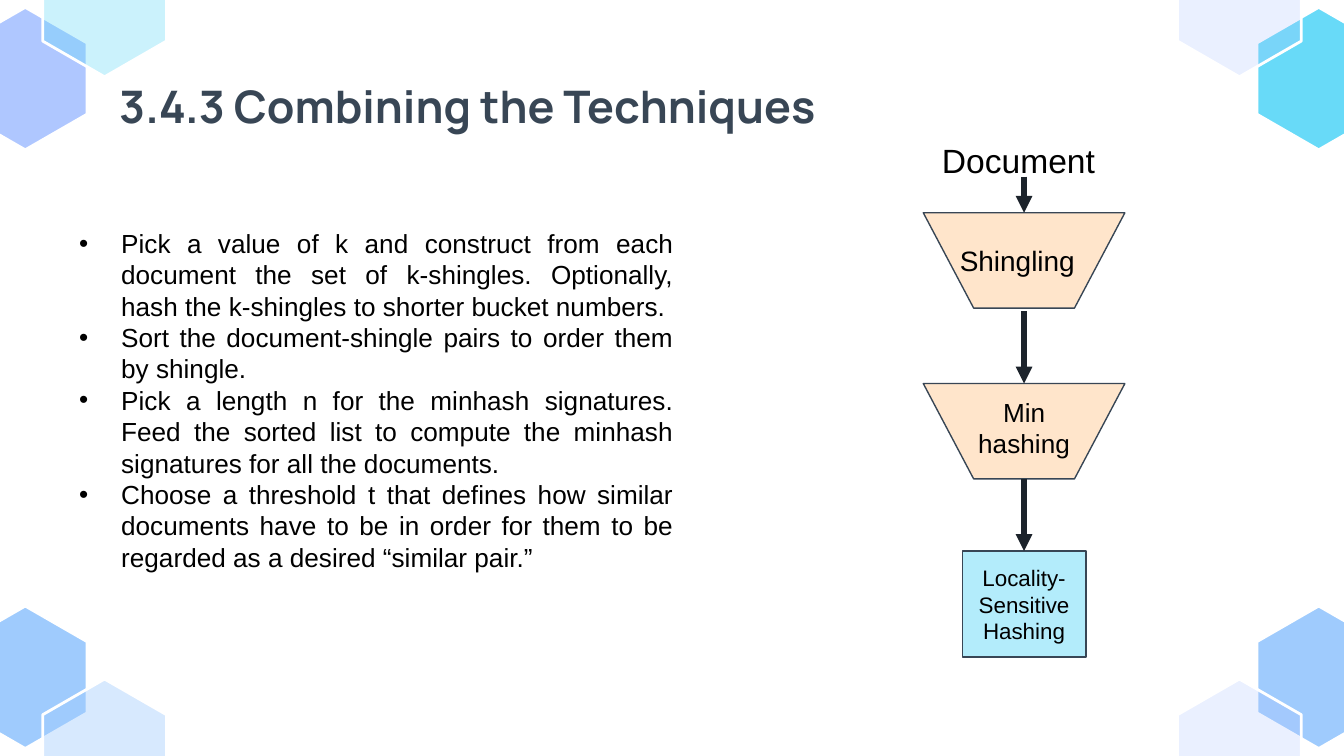
from dataclasses import dataclass

from lxml import etree
from pptx import Presentation
from pptx.dml.color import RGBColor
from pptx.enum.shapes import MSO_CONNECTOR, MSO_SHAPE
from pptx.enum.text import MSO_ANCHOR, MSO_AUTO_SIZE, PP_ALIGN
from pptx.oxml.ns import qn
from pptx.util import Inches, Pt

LEFT, CENTER, JUSTIFY = PP_ALIGN.LEFT, PP_ALIGN.CENTER, PP_ALIGN.JUSTIFY
TOP, MIDDLE = MSO_ANCHOR.TOP, MSO_ANCHOR.MIDDLE
FIXED, GROW = MSO_AUTO_SIZE.NONE, MSO_AUTO_SIZE.SHAPE_TO_FIT_TEXT
RECTANGLE, STRAIGHT = MSO_SHAPE.RECTANGLE, MSO_CONNECTOR.STRAIGHT
TITLE_ONLY = 5

# The grid has square cells, ten to the inch
COLUMNS, ROWS = 100, 56.25
CELLS_PER_INCH = 10


@dataclass(frozen=True)
class Theme:
    heading_font: str = "Manrope"
    body_font: str = "Arial"
    heading: str = "384655"
    text: str = "000000"
    outline: str = "384655"
    arrow: str = "1C232B"
    white: str = "FFFFFF"
    sky: str = "9FCBFD"
    lavender: str = "AFC7FF"
    cyan: str = "68DAF8"
    peach: str = "FFCC99"
    title_size: float = 24
    input_size: float = 18
    step_size: float = 15
    body_size: float = 14
    small_size: float = 12


def cells(count):
    return Inches(count / CELLS_PER_INCH)


def write(frame, text, *, font, size, color, bold=False, align=LEFT, anchor=TOP,
          wrap=True, fit=GROW, inset=None, hang=None):
    """Fill a text frame, one paragraph for each line; hang makes bullets."""
    frame.word_wrap = wrap
    frame.auto_size = fit
    frame.vertical_anchor = anchor
    if inset is not None:
        frame.margin_left = frame.margin_right = cells(inset)
        frame.margin_top = frame.margin_bottom = cells(inset)
    for index, line in enumerate(text.split("\n")):
        para = frame.paragraphs[0] if index == 0 else frame.add_paragraph()
        para.alignment = align
        if hang is not None:
            properties = para._p.get_or_add_pPr()
            properties.set("marL", str(cells(hang)))
            properties.set("indent", str(-cells(hang)))
            etree.SubElement(properties, qn("a:buFont")).set("typeface", font)
            etree.SubElement(properties, qn("a:buChar")).set("char", "•")
        span = para.add_run()
        span.text = line
        span.font.name = font
        span.font.size = Pt(size)
        span.font.bold = bold
        span.font.color.rgb = RGBColor.from_string(color)


class SlideBuilder:
    """Draws the parts of one slide in one theme, measured in grid cells."""

    def __init__(self, slide, theme):
        self.slide = slide
        self.theme = theme

    def paint(self, shape, fill, line, width, opacity=100):
        shape.shadow.inherit = False
        shape.fill.solid()
        shape.fill.fore_color.rgb = RGBColor.from_string(fill)
        if opacity < 100:
            color = shape.fill._xPr.find(".//" + qn("a:srgbClr"))
            etree.SubElement(color, qn("a:alpha")).set("val", str(opacity * 1000))
        shape.line.color.rgb = RGBColor.from_string(line)
        shape.line.width = Pt(width)

    def title(self, text, left, top, width, height):
        box = self.slide.shapes.title
        box.left, box.top = cells(left), cells(top)
        box.width, box.height = cells(width), cells(height)
        write(box.text_frame, text, font=self.theme.heading_font,
              size=self.theme.title_size, color=self.theme.heading,
              bold=True, fit=FIXED, inset=1)

    def text(self, text, left, top, width, height, size, **style):
        box = self.slide.shapes.add_textbox(*map(cells, (left, top, width, height)))
        write(box.text_frame, text, font=self.theme.body_font, size=size,
              color=self.theme.text, **style)

    def polygon(self, points, fill, line, width, opacity=100):
        start, *rest = [(cells(x), cells(y)) for x, y in points]
        outline = self.slide.shapes.build_freeform(*start)
        outline.add_line_segments(rest, close=True)
        self.paint(outline.convert_to_shape(), fill, line, width, opacity)

    def hexagon(self, x, y, fill, opacity=100):
        half, shoulder, tip = 4.6, 2.65, 5.3
        points = [(x, y - tip), (x + half, y - shoulder), (x + half, y + shoulder),
                  (x, y + tip), (x - half, y + shoulder), (x - half, y - shoulder)]
        self.polygon(points, fill, self.theme.white, 1.5, opacity)

    def funnel(self, x, top):
        wide, narrow, height = 7.5, 3.75, 7.1
        points = [(x - wide, top), (x - narrow, top + height),
                  (x + narrow, top + height), (x + wide, top)]
        self.polygon(points, self.theme.peach, self.theme.outline, 0.75, 50)

    def block(self, text, left, top, width, height):
        box = self.slide.shapes.add_shape(
            RECTANGLE, *map(cells, (left, top, width, height)))
        self.paint(box, self.theme.cyan, self.theme.outline, 0.75, 50)
        write(box.text_frame, text, font=self.theme.body_font,
              size=self.theme.small_size, color=self.theme.text,
              align=CENTER, anchor=MIDDLE, wrap=False, fit=FIXED)

    def down_arrow(self, x, start, end):
        arrow = self.slide.shapes.add_connector(
            STRAIGHT, cells(x), cells(start), cells(x), cells(end))
        arrow.line.color.rgb = RGBColor.from_string(self.theme.arrow)
        arrow.line.width = Pt(3)
        etree.SubElement(arrow.line._get_or_add_ln(), qn("a:tailEnd")).set(
            "type", "triangle")
        etree.SubElement(arrow._element.spPr, qn("a:effectLst"))


def main():
    deck = Presentation()
    deck.slide_width, deck.slide_height = cells(COLUMNS), cells(ROWS)
    theme = Theme()
    page = SlideBuilder(deck.slides.add_slide(deck.slide_layouts[TITLE_ONLY]), theme)

    # Corner hexagons: a solid outer one below a translucent inner one
    outer_x, outer_y, inner_x, inner_y = 1.88, 5.85, 7.78, 0.42
    corners = [
        (False, True, theme.sky, theme.sky, 41),
        (True, True, theme.sky, theme.lavender, 25),
        (False, False, theme.lavender, theme.cyan, 34),
        (True, False, theme.cyan, theme.lavender, 25),
    ]
    for right, bottom, outer, inner, opacity in corners:
        for x, y, fill, strength in ((outer_x, outer_y, outer, 100),
                                     (inner_x, inner_y, inner, opacity)):
            page.hexagon(COLUMNS - x if right else x,
                         ROWS - y if bottom else y, fill, strength)

    # Title and steps
    page.title("3.4.3 Combining the Techniques", 7.87, 4.87, 84.3, 6.3)
    steps = [
        "Pick a value of k and construct from each document the set of k-shingles. "
        "Optionally, hash the k-shingles to shorter bucket numbers.",
        "Sort the document-shingle pairs to order them by shingle.",
        "Pick a length n for the minhash signatures. Feed the sorted list to "
        "compute the minhash signatures for all the documents.",
        "Choose a threshold t that defines how similar documents have to be in "
        "order for them to be regarded as a desired “similar pair.”",
    ]
    page.text("\n".join(steps), 4.9, 16.42, 46.2, 26.9, theme.body_size,
              align=JUSTIFY, hang=3.13)

    # Flow from document to hashing
    axis = 76.2
    page.funnel(axis, 15.83)
    page.text("Document", 69.1, 9.9, 14.2, 4, theme.input_size)
    page.text("Shingling", 70.43, 17.6, 11.5, 3.5, theme.step_size)
    page.funnel(axis, 28.54)
    page.text("Min\nhashing", 69.95, 29, 12.5, 5.7, theme.body_size, align=CENTER)
    page.block("Locality-\nSensitive\nHashing", axis - 4.6, 41, 9.2, 7.9)
    for start, end in ((23.15, 28.54), (35.64, 41), (13.15, 15.83)):
        page.down_arrow(axis, start, end)

    deck.save("out.pptx")


if __name__ == "__main__":
    main()
